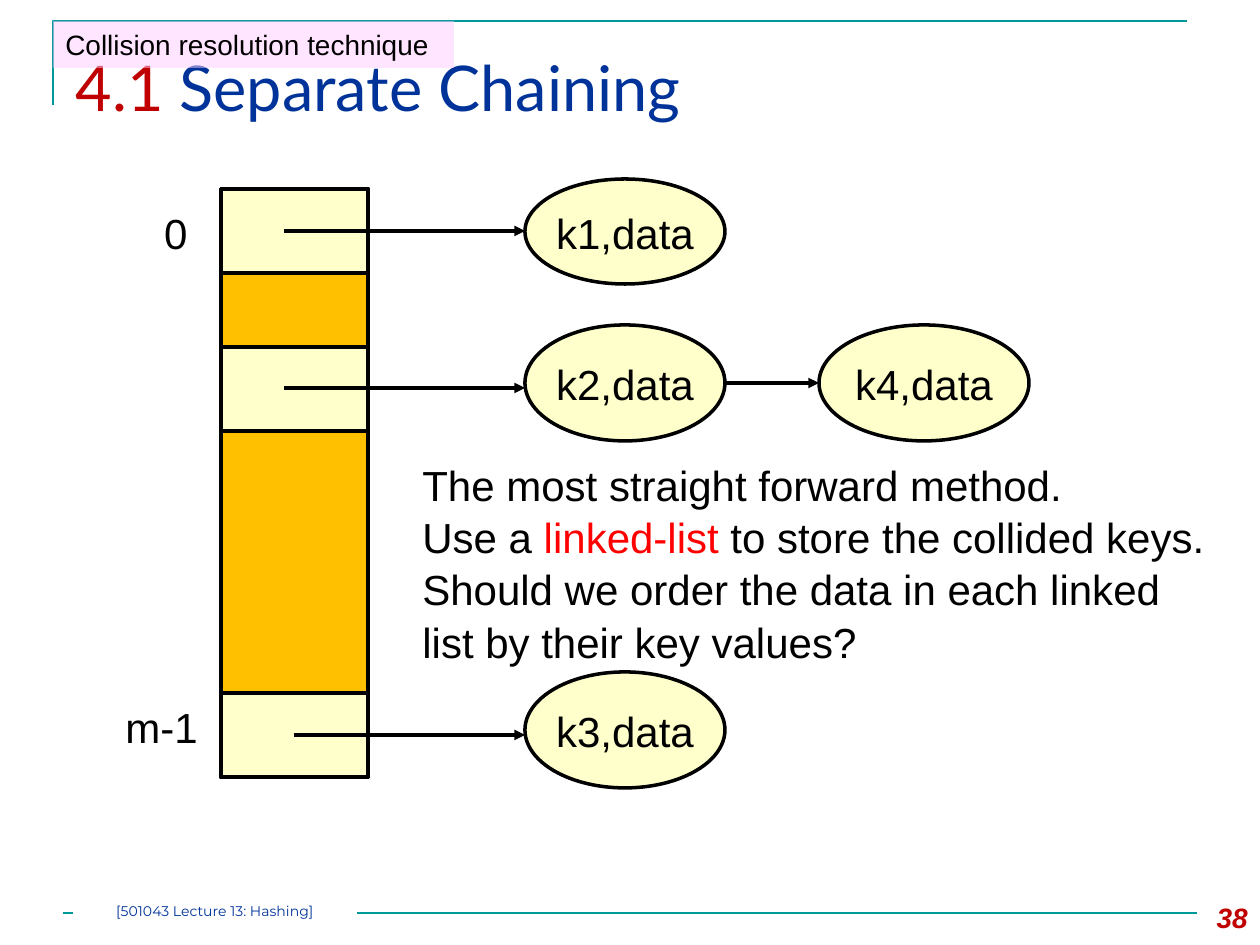
from lxml.etree import SubElement
from pptx import Presentation
from pptx.dml.color import RGBColor
from pptx.enum.shapes import MSO_CONNECTOR as CONN, MSO_SHAPE as SHAPE
from pptx.enum.text import MSO_ANCHOR as ANCHOR, PP_ALIGN as ALIGN
from pptx.oxml.ns import qn
from pptx.util import Pt

PX = 914400 // 126  # EMU in one px
COLORS = {
    "teal": "009999", "blue": "003399", "crimson": "C00000", "red": "FF0000",
    "amber": "FFC000", "cream": "FFFFCC", "pink": "FFCCFF",
    "black": "000000", "white": "FFFFFF",
}


def rgb(name):
    return RGBColor.from_string(COLORS[name])


def emu(*lengths):
    return [n * PX for n in lengths]


def write(sp, *paragraphs, size=24, font="Arial", color="black", bold=None,
          italic=None, align=ALIGN.LEFT, anchor=ANCHOR.TOP, wrap=True,
          margins=None, spacing=None):
    """Each paragraph is a list of runs: a string or a (string, color) pair."""
    tf = sp.text_frame
    tf.word_wrap, tf.vertical_anchor = wrap, anchor
    if margins is not None:
        tf.margin_left = tf.margin_right = margins
        tf.margin_top = tf.margin_bottom = margins
    for i, runs in enumerate(paragraphs):
        p = tf.add_paragraph() if i else tf.paragraphs[0]
        p.alignment, p.line_spacing = align, spacing
        for run in runs:
            text, tint = (run, color) if isinstance(run, str) else run
            r = p.add_run()
            r.text = text
            r.font.size, r.font.name = Pt(size), font
            r.font.bold, r.font.italic = bold, italic
            r.font.color.rgb = rgb(tint)


def add_text(s, box, *paragraphs, **fmt):
    write(s.shapes.add_textbox(*emu(*box)), *paragraphs, **fmt)


def add_box(s, kind, box, fill, line="black"):
    sp = s.shapes.add_shape(kind, *emu(*box))
    sp.shadow.inherit = False
    sp.fill.solid()
    sp.fill.fore_color.rgb = rgb(fill)
    if line:
        sp.line.color.rgb, sp.line.width = rgb(line), Pt(2)
    else:
        sp.line.fill.background()
    return sp


def add_line(s, start, end, color="black", width=2, arrow=False):
    c = s.shapes.add_connector(CONN.STRAIGHT, *emu(*start, *end))
    c.line.color.rgb, c.line.width = rgb(color), Pt(width)
    if arrow:
        SubElement(c.line._get_or_add_ln(), qn("a:tailEnd"), type="triangle")
    SubElement(c._element.spPr, qn("a:effectLst"))


def add_frame(s, x, y, w, h):
    """Corner rule along the top and left edges."""
    fb = s.shapes.build_freeform(x, y + h, scale=PX)
    fb.add_line_segments([(x, y), (x + w, y)], close=False)
    sp = fb.convert_to_shape()
    sp.shadow.inherit = False
    sp.fill.background()
    sp.line.color.rgb, sp.line.width = rgb("teal"), Pt(1.5)


def add_title(s, x, y, w, h):
    sp = s.shapes.title
    sp.left, sp.top, sp.width, sp.height = emu(x, y, w, h)
    write(sp, [("4.1 ", "crimson"), "Separate Chaining"],
          size=36, font="Lato", color="blue")


def add_tag(s, x, y, w, h):
    """Translucent topic label over the title."""
    sp = add_box(s, SHAPE.RECTANGLE, (x, y, w, h), "pink", line=None)
    color = sp._element.spPr.find(qn("a:solidFill"))[0]
    SubElement(color, qn("a:alpha"), val="50000")
    write(sp, ["Collision resolution technique"], size=16, wrap=False)


def add_table_column(s, x, y, w, h, cell_h=84):
    """Hash table: a tall bar with three used slots."""
    add_box(s, SHAPE.RECTANGLE, (x, y, w, h), "amber")
    for dy in (0, 158, h - cell_h):
        add_box(s, SHAPE.RECTANGLE, (x, y + dy, w, cell_h), "cream")
    # Slot numbers, right-aligned beside the bar
    for label, dy, gap in (("0", 10, 21), ("m-1", h - cell_h, 11)):
        add_text(s, (x - gap - 147, y + dy, 147, 63), [label],
                 align=ALIGN.RIGHT, spacing=1.04)


def add_chains(s, x, y):
    """Nodes hanging from the slots, and the arrows that link them."""
    nodes = (("k1,data", 0, 0, 200, 105), ("k2,data", 0, 146, 200, 116),
             ("k3,data", 0, 493, 200, 116), ("k4,data", 294, 146, 210, 116))
    for label, dx, dy, w, h in nodes:
        sp = add_box(s, SHAPE.OVAL, (x + dx, y + dy, w, h), "cream")
        write(sp, [label], align=ALIGN.CENTER, anchor=ANCHOR.MIDDLE,
              wrap=False, spacing=1.04)
    arrows = ((-241, 0, 52), (-241, 0, 209), (-231, 0, 556), (200, 294, 204))
    for start, end, dy in arrows:
        add_line(s, (x + start, y + dy), (x + end, y + dy), arrow=True)


def add_notes_text(s, x, y, w, h):
    add_text(s, (x, y, w, h),
             ["The most straight forward method."],
             ["Use a ", ("linked-list ", "red"),
              "to store the collided keys. Should we order the data in each "
              "linked list by their key values?"],
             spacing=1.04)


def add_footer(s, x, y, w):
    """Rule with the lecture name set into it, and the page number."""
    add_line(s, (x, y), (x + w, y), color="teal", width=1.5)
    sp = add_box(s, SHAPE.RECTANGLE, (x + 10, y - 10, 284, 21), "white", None)
    write(sp, ["[501043 Lecture 13: Hashing]"], size=8, font="Montserrat",
          color="blue", align=ALIGN.CENTER, margins=0)
    add_text(s, (x + w - 21, y - 19, 84, 50), ["38"], size=16,
             color="crimson", bold=True, italic=True, align=ALIGN.RIGHT)


def main():
    prs = Presentation()
    prs.slide_width, prs.slide_height = emu(1260, 945)
    s = prs.slides.add_slide(prs.slide_layouts[5])
    for ph in list(s.placeholders):
        if ph != s.shapes.title:
            ph._element.getparent().remove(ph._element)
    add_frame(s, 53, 21, 1134, 84)
    add_title(s, 63, 42, 1134, 116)
    add_table_column(s, 221, 189, 147, 588)
    add_chains(s, 525, 179)
    add_notes_text(s, 410, 451, 819, 217)
    add_tag(s, 53, 21, 401, 47)
    add_footer(s, 63, 913, 1134)
    prs.save("out.pptx")


if __name__ == "__main__":
    main()
